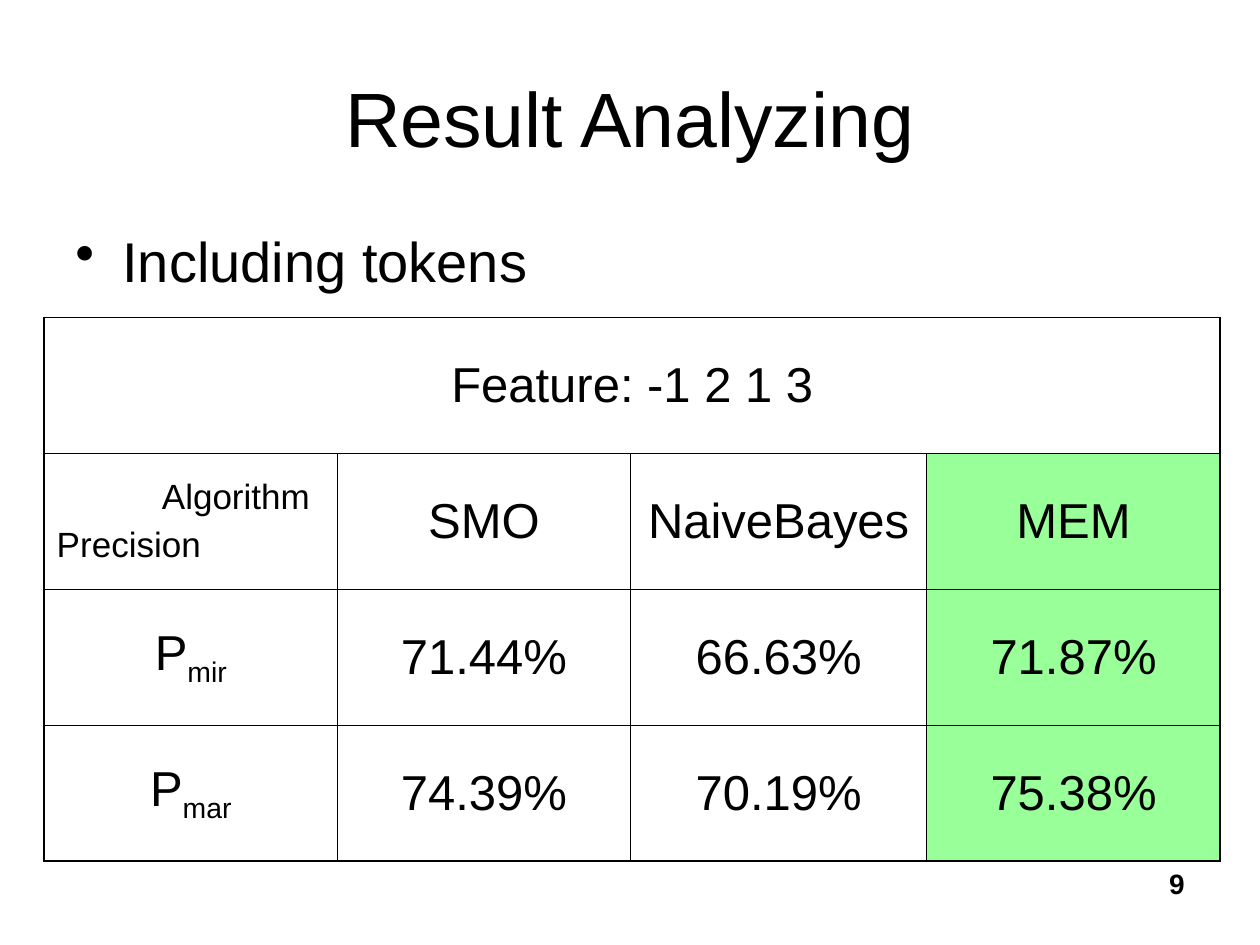
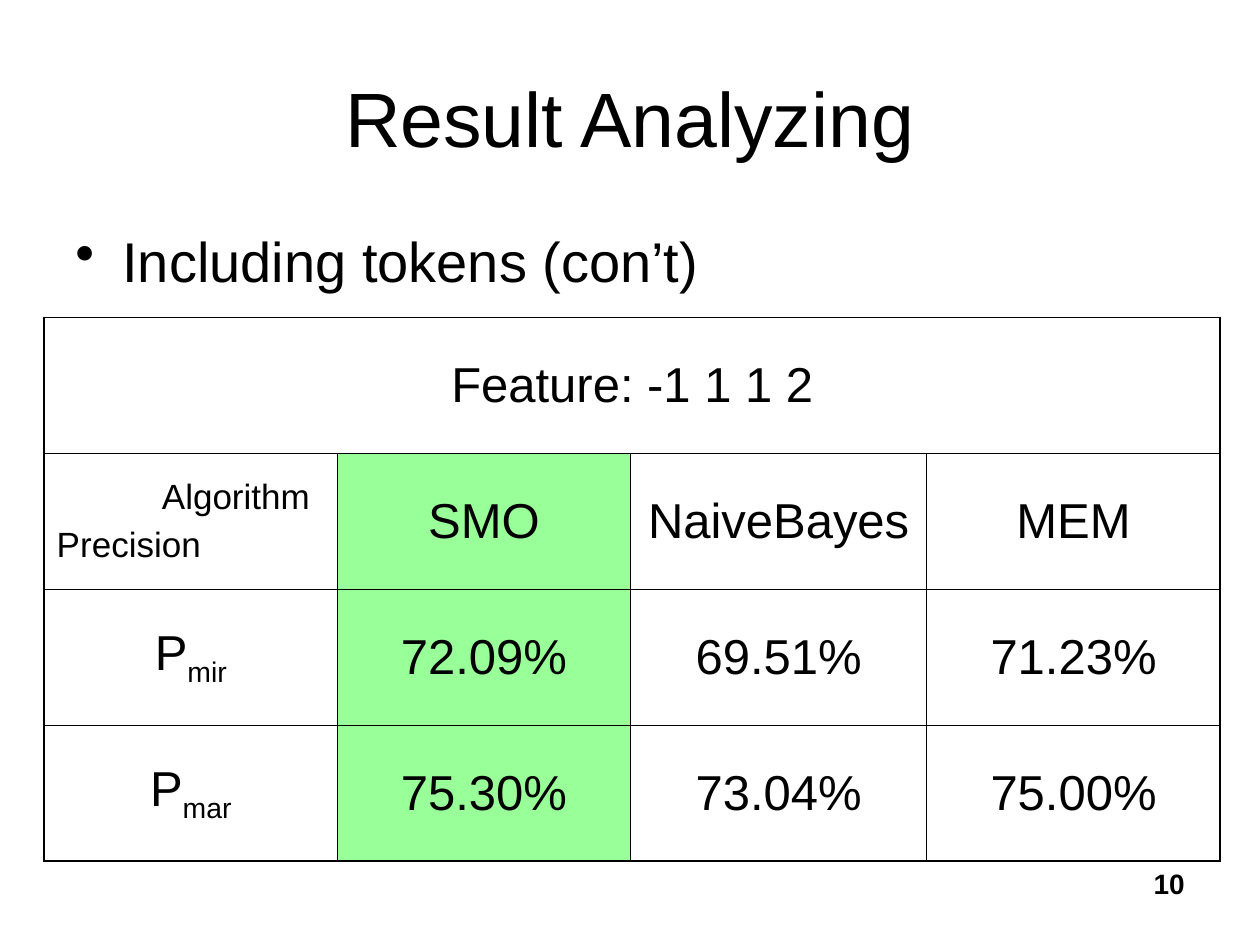
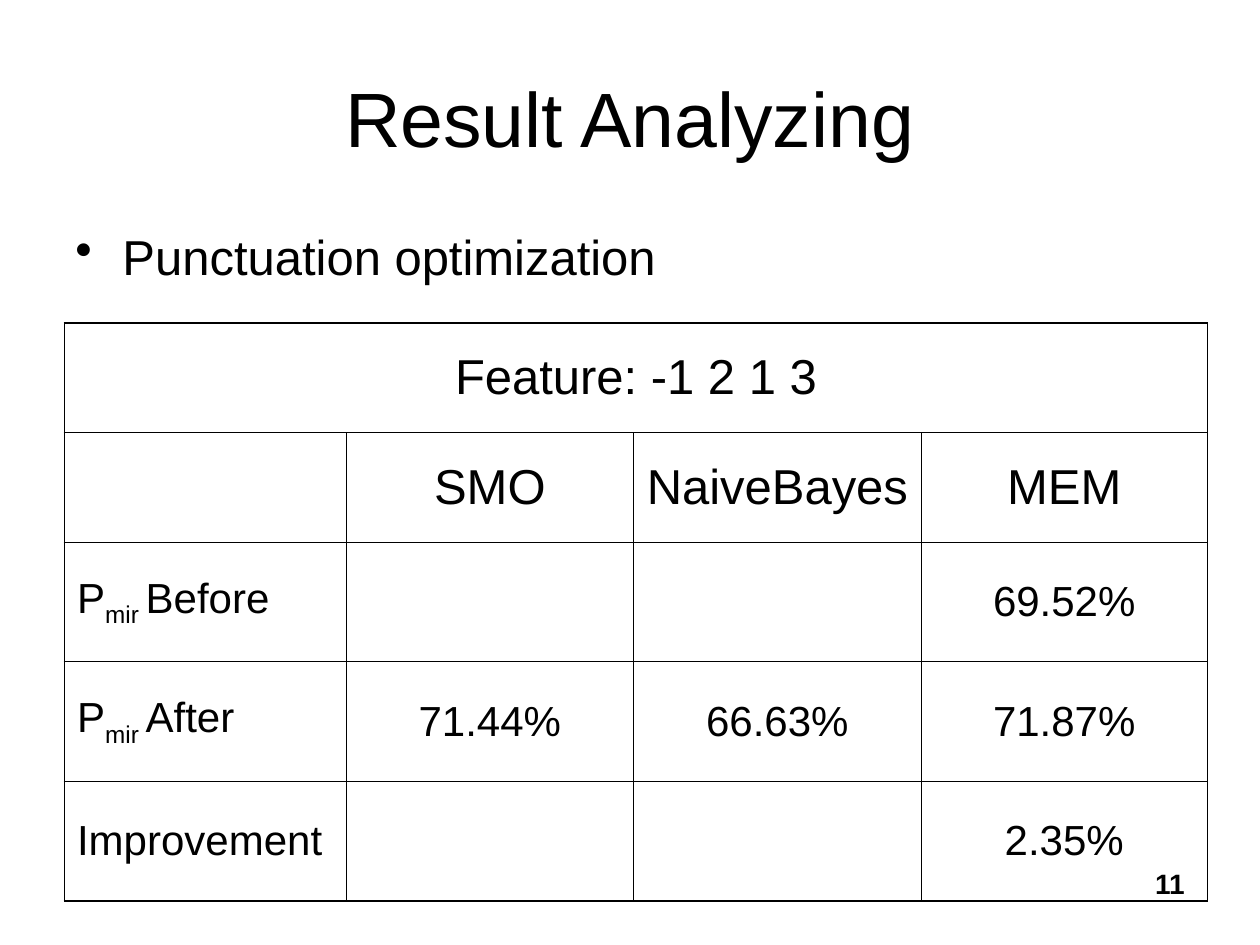
from lxml import etree
from pptx import Presentation
from pptx import util as u
from pptx.dml.color import RGBColor
from pptx.enum import text
from pptx.oxml.ns import qn

COLOURS = {"ink": "000000", "best": "99FF99"}
FONT = "Arial"
OUTER_LINE, INNER_LINE = u.Pt(1.08), u.Pt(0.45)
LEFT, CENTRE, RIGHT = text.PP_ALIGN.LEFT, text.PP_ALIGN.CENTER, text.PP_ALIGN.RIGHT
MIDDLE = text.MSO_ANCHOR.MIDDLE
ALGORITHMS = ["SMO", "NaiveBayes", "MEM"]
# A tuple label alternates normal and subscript parts.
MICRO, MACRO = ("P", "mir"), ("P", "mar")


def colour(name):
    return RGBColor.from_string(COLOURS[name])


def write(paragraph, parts, size, align=LEFT, bold=False):
    """Fill a paragraph; in a tuple every second part is a subscript."""
    if isinstance(parts, str):
        parts = (parts,)
    paragraph.alignment = align
    for index, part in enumerate(parts):
        run = paragraph.add_run()
        run.text = part
        run.font.name = FONT
        run.font.size = u.Pt(size)
        run.font.bold = bold
        run.font.color.rgb = colour("ink")
        if index % 2:
            run._r.get_or_add_rPr().set("baseline", "-25000")


def indent(paragraph, margin, first_line=0):
    properties = paragraph._p.get_or_add_pPr()
    properties.set("marL", str(u.Cm(margin)))
    properties.set("indent", str(u.Cm(first_line)))
    return properties


def add_text(slide, box, content, size, align=LEFT, anchor=text.MSO_ANCHOR.TOP,
             bold=False, bullet=False):
    shape = slide.shapes.add_textbox(*(u.Cm(length) for length in box))
    frame = shape.text_frame
    frame.word_wrap = True
    frame.vertical_anchor = anchor
    paragraph = frame.paragraphs[0]
    if bullet:
        properties = indent(paragraph, 0.95, -0.95)
        etree.SubElement(properties, qn("a:buChar")).set("char", "•")
    write(paragraph, content, size, align, bold)


def add_border(cell, side, width):
    line = etree.SubElement(cell._tc.get_or_add_tcPr(), qn(f"a:ln{side}"), w=str(width))
    fill = etree.SubElement(line, qn("a:solidFill"))
    etree.SubElement(fill, qn("a:srgbClr"), val=COLOURS["ink"])


def frame_cell(cell, row, column, last_row, last_column):
    """Draw the four borders, heavier on the table's outer edge."""
    edges = {
        "L": column == 0,
        "R": column + cell.span_width - 1 == last_column,
        "T": row == 0,
        "B": row == last_row,
    }
    for side, is_outer in edges.items():
        add_border(cell, side, OUTER_LINE if is_outer else INNER_LINE)


def write_corner(cell):
    """Name the column axis at the upper right and the row axis at the lower left."""
    upper = cell.text_frame.paragraphs[0]
    indent(upper, 2.12)
    write(upper, "Algorithm", 20)
    lower = cell.text_frame.add_paragraph()
    lower.space_before = u.Pt(5)
    write(lower, "Precision", 20)


def add_results(slide, left, top, widths, heights, feature, results,
                size=28, label_align=CENTRE, corner=False, best=None):
    rows = [[f"Feature: {feature}", "", "", ""], ["", *ALGORITHMS], *results]
    table = slide.shapes.add_table(
        len(rows), len(widths), u.Cm(left), u.Cm(top),
        u.Cm(sum(widths)), u.Cm(sum(heights))).table
    table.first_row = table.horz_banding = False
    for column, width in zip(table.columns, widths):
        column.width = u.Cm(width)
    for row, height in zip(table.rows, heights):
        row.height = u.Cm(height)
    table.cell(0, 0).merge(table.cell(0, len(widths) - 1))

    for r, contents in enumerate(rows):
        for c, content in enumerate(contents):
            cell = table.cell(r, c)
            if cell.is_spanned:
                continue
            frame_cell(cell, r, c, len(rows) - 1, len(widths) - 1)
            if r > 0 and c == best:
                cell.fill.solid()
                cell.fill.fore_color.rgb = colour("best")
            else:
                cell.fill.background()
            cell.vertical_anchor = MIDDLE
            if content:
                is_label = r > 1 and c == 0
                write(cell.text_frame.paragraphs[0], content,
                      28 if r < 2 else size, label_align if is_label else CENTRE)
    if corner:
        write_corner(table.cell(1, 0))


def add_result_slide(presentation, number, topic, topic_size=32, **results):
    slide = presentation.slides.add_slide(presentation.slide_layouts[6])
    add_text(slide, (1.27, 0.76, 22.86, 3.18), "Result Analyzing", 44, CENTRE, MIDDLE)
    add_text(slide, (1.27, 4.45, 22.86, 6.07), topic, topic_size, bullet=True)
    add_results(slide, **results)
    add_text(slide, (18.2, 17.35, 5.93, 1.32), str(number), 16, RIGHT, bold=True)


def main():
    presentation = Presentation()
    presentation.slide_width, presentation.slide_height = u.Cm(25.4), u.Cm(19.05)

    token_table = dict(left=0.89, top=6.4, widths=[5.91, 5.91, 5.97, 5.92],
                       heights=[2.74] * 4, corner=True)
    add_result_slide(
        presentation, 9, "Including tokens", **token_table,
        feature="-1 2 1 3", best=3,
        results=[[MICRO, "71.44%", "66.63%", "71.87%"],
                 [MACRO, "74.39%", "70.19%", "75.38%"]])
    add_result_slide(
        presentation, 10, "Including tokens (con’t)", **token_table,
        feature="-1 1 1 2", best=1,
        results=[[MICRO, "72.09%", "69.51%", "71.23%"],
                 [MACRO, "75.30%", "73.04%", "75.00%"]])
    add_result_slide(
        presentation, 11, "Punctuation optimization", topic_size=28,
        left=1.3, top=6.51, widths=[5.68, 5.79, 5.8, 5.77],
        heights=[2.21] * 2 + [2.41] * 3, size=24, label_align=LEFT,
        feature="-1 2 1 3",
        results=[[("P", "mir ", "Before"), "", "", "69.52%"],
                 [("P", "mir ", "After"), "71.44%", "66.63%", "71.87%"],
                 ["Improvement", "", "", "2.35%"]])

    presentation.save("out.pptx")


if __name__ == "__main__":
    main()
